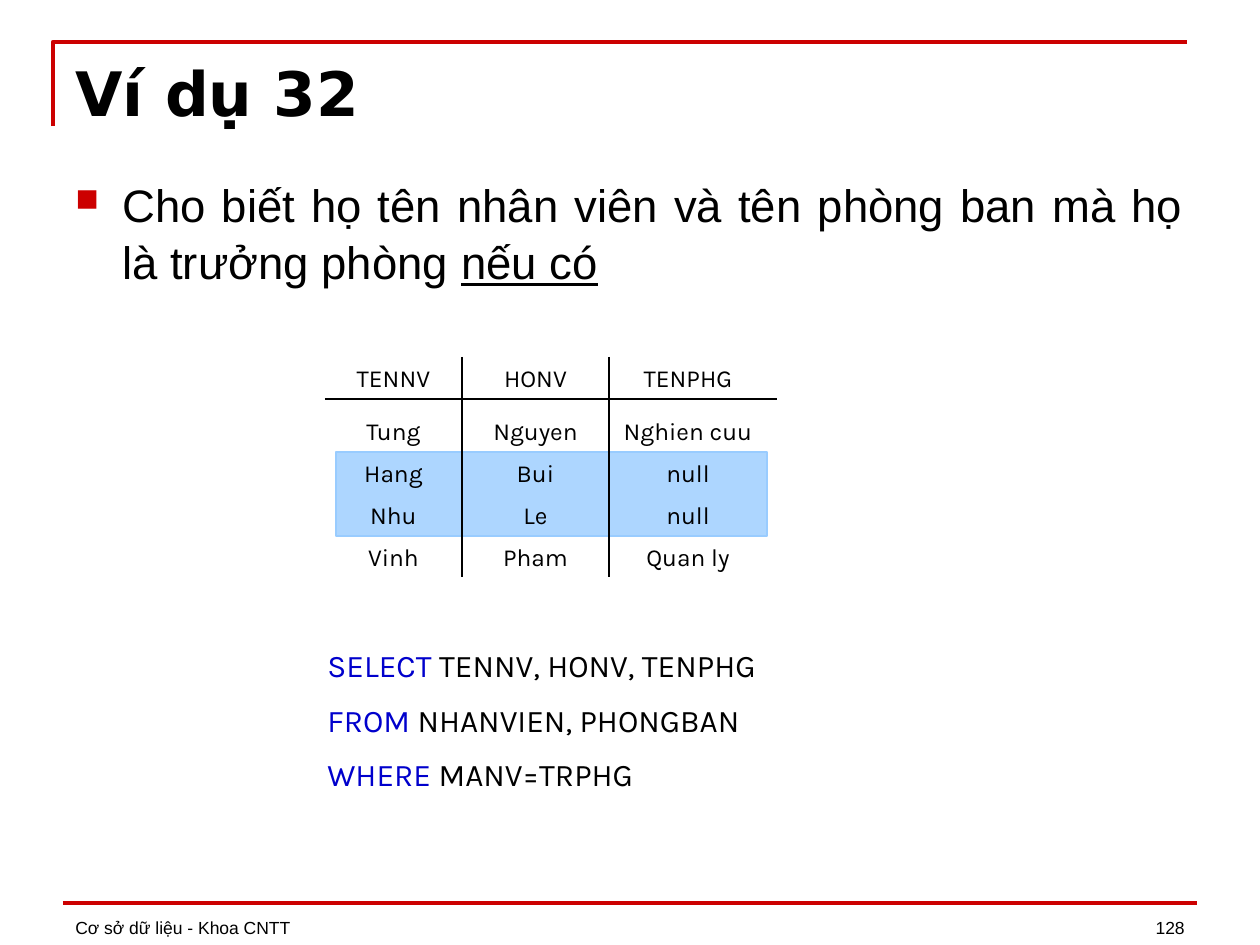
from lxml import etree
from pptx import Presentation
from pptx.dml.color import RGBColor
from pptx.enum.shapes import MSO_CONNECTOR, MSO_SHAPE
from pptx.enum.text import MSO_ANCHOR, PP_ALIGN
from pptx.oxml.ns import qn
from pptx.util import Emu, Pt

PX = 914400 // 126
BLACK = RGBColor(0x00, 0x00, 0x00)
RED = RGBColor(0xCC, 0x00, 0x00)
BLUE = RGBColor(0x00, 0x00, 0xCC)
SKY = RGBColor(0x99, 0xCC, 0xFF)
LEFT, CENTER, RIGHT, JUSTIFY = PP_ALIGN.LEFT, PP_ALIGN.CENTER, PP_ALIGN.RIGHT, PP_ALIGN.JUSTIFY
TOP, BOTTOM = MSO_ANCHOR.TOP, MSO_ANCHOR.BOTTOM
STRAIGHT, RECT = MSO_CONNECTOR.STRAIGHT, MSO_SHAPE.RECTANGLE
SANS, TITLE_FONT, CODE_FONT = "Arial", "DejaVu Sans", "Karla"


def add_run(p, text, font=SANS, size=14, color=BLACK, bold=False, underline=False):
    r = p.add_run()
    r.text = text
    r.font.name = font
    r.font.size = Pt(size)
    r.font.color.rgb = color
    r.font.bold = bold
    r.font.underline = underline


class Deck:
    """Draws styled elements on the current slide, measured in pixels."""

    def __init__(self, width, height):
        self.prs = Presentation()
        self.prs.slide_width, self.prs.slide_height = self.emu(width, height)
        self.s = self.prs.slides.add_slide(self.prs.slide_layouts[6])

    def emu(self, *lengths):
        return [Emu(v * PX) for v in lengths]

    def line(self, x1, y1, x2, y2, color=BLACK, width=1):
        c = self.s.shapes.add_connector(STRAIGHT, *self.emu(x1, y1, x2, y2))
        c.line.color.rgb = color
        c.line.width = Pt(width)
        etree.SubElement(c._element.spPr, qn("a:effectLst"))

    def outline(self, points, color, width):
        builder = self.s.shapes.build_freeform(*points[0], scale=PX)
        builder.add_line_segments(points[1:], close=False)
        sp = builder.convert_to_shape()
        sp.shadow.inherit = False
        sp.fill.background()
        sp.line.color.rgb = color
        sp.line.width = Pt(width)

    def rect(self, x, y, w, h, color, opacity):
        sp = self.s.shapes.add_shape(RECT, *self.emu(x, y, w, h))
        sp.shadow.inherit = False
        sp.fill.solid()
        sp.fill.fore_color.rgb = color
        sp.line.color.rgb = color
        sp.line.width = Pt(1)
        srgb = sp._element.spPr.find(qn("a:solidFill")).find(qn("a:srgbClr"))
        etree.SubElement(srgb, qn("a:alpha"), val=str(opacity * 1000))

    def text(self, x, y, w, h, paragraphs, align=LEFT, anchor=TOP, before=0, spacing=1.0, **style):
        tf = self.s.shapes.add_textbox(*self.emu(x, y, w, h)).text_frame
        tf.word_wrap = True
        tf.vertical_anchor = anchor
        for i, runs in enumerate(paragraphs):
            p = tf.paragraphs[0] if i == 0 else tf.add_paragraph()
            p.alignment = align
            p.line_spacing = spacing
            if i:
                p.space_before = Pt(before)
            for text, extra in runs:
                add_run(p, text, **{**style, **extra})
        return tf

    def bullet(self, p, indent, color, percent):
        pPr = p._p.get_or_add_pPr()
        pPr.set("marL", str(indent * PX))
        pPr.set("indent", str(-indent * PX))
        clr = etree.SubElement(pPr, qn("a:buClr"))
        etree.SubElement(clr, qn("a:srgbClr"), val=str(color))
        etree.SubElement(pPr, qn("a:buSzPct"), val=str(percent * 1000))
        etree.SubElement(pPr, qn("a:buFont"), typeface="Wingdings")
        etree.SubElement(pPr, qn("a:buChar"), char="n")

    def grid(self, edges, tops, height, rows):
        for y, row in zip(tops, rows):
            for x, right, text in zip(edges, edges[1:], row):
                self.text(x, y, right - x, height, [[(text, {})]], align=CENTER, font=CODE_FONT)


deck = Deck(1260, 945)
deck.outline([(53, 126), (53, 42), (1187, 42)], RED, 2.5)
deck.line(63, 903, 1197, 903, RED, 2)
deck.text(63, 881, 766, 63, [[("Cơ sở dữ liệu - Khoa CNTT", {})]], anchor=BOTTOM, size=10)
deck.text(903, 881, 294, 63, [[("128", {})]], align=RIGHT, anchor=BOTTOM, size=10)

deck.text(63, 49, 1166, 86, [[("Ví dụ 32", {})]], font=TITLE_FONT, size=35, bold=True)
question = [
    ("Cho biết họ tên nhân viên và tên phòng ban mà họ là trưởng phòng ", {}),
    ("nếu có", {"underline": True}),
]
body = deck.text(63, 168, 1134, 677, [question], align=JUSTIFY, spacing=1.05, size=26)
deck.bullet(body.paragraphs[0], 47, RED, 70)

ROW = 42
FIRST_ROW = 410
EDGES = [325, 462, 609, 767]
ROWS = [
    ("TENNV", "HONV", "TENPHG"),
    ("Tung", "Nguyen", "Nghien cuu"),
    ("Hang", "Bui", "null"),
    ("Nhu", "Le", "null"),
    ("Vinh", "Pham", "Quan ly"),
]
deck.rect(336, FIRST_ROW + ROW, 431, 2 * ROW, SKY, 80)
deck.line(325, 399, 777, 399)
for x in EDGES[1:3]:
    deck.line(x, 357, x, 577)
deck.grid(EDGES, [357] + [FIRST_ROW + i * ROW for i in range(4)], ROW, ROWS)

QUERY = [
    ("SELECT", "TENNV, HONV, TENPHG"),
    ("FROM", "NHANVIEN, PHONGBAN"),
    ("WHERE", "MANV=TRPHG"),
]
code = [[(keyword, {"color": BLUE}), (" " + names, {})] for keyword, names in QUERY]
deck.text(315, 640, 494, 164, code, before=9.5, font=CODE_FONT, size=18)
deck.prs.save("out.pptx")
